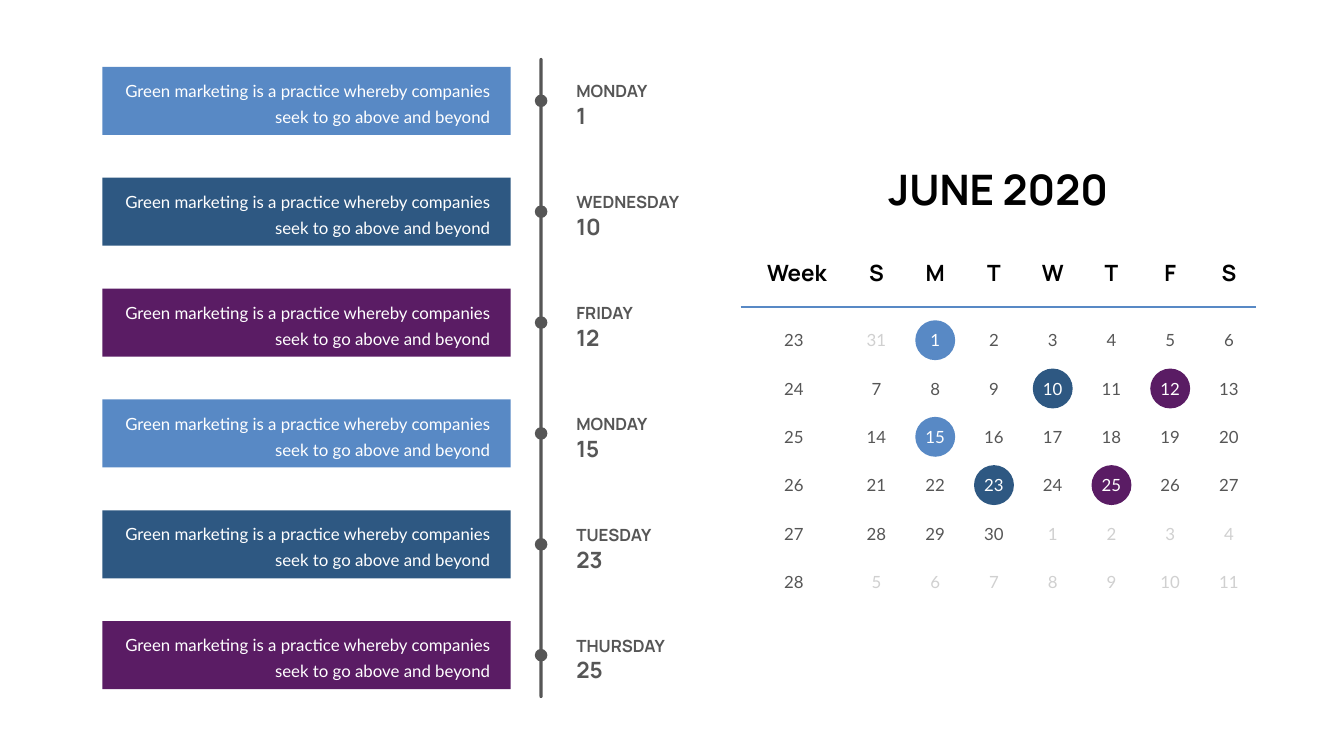
import pptx
import pptx.util
import pptx.dml.color
import pptx.enum.shapes
import pptx.enum.text
from lxml import etree

Pt = pptx.util.Pt
RGBColor = pptx.dml.color.RGBColor
Shape = pptx.enum.shapes.MSO_SHAPE
Align = pptx.enum.text.PP_ALIGN
Anchor = pptx.enum.text.MSO_ANCHOR

BLUE = RGBColor(0x58, 0x89, 0xC5)
NAVY = RGBColor(0x2E, 0x58, 0x82)
PURPLE = RGBColor(0x5A, 0x1C, 0x64)
GRAY = RGBColor(0x56, 0x56, 0x56)
PALE = RGBColor(0xD0, 0xD0, 0xD0)
BLACK = RGBColor(0, 0, 0)
WHITE = RGBColor(0xFF, 0xFF, 0xFF)

HEADING_FONT = "Manrope"
BODY_FONT = "Lato"
DESCRIPTION = "Green marketing is a practice whereby companies seek to go above and beyond"
EVENTS = [
    ("MONDAY", 1, BLUE),
    ("WEDNESDAY", 10, NAVY),
    ("FRIDAY", 12, PURPLE),
    ("MONDAY", 15, BLUE),
    ("TUESDAY", 23, NAVY),
    ("THURSDAY", 25, PURPLE),
]
WEEKDAYS = "SMTWTFS"
FIRST_WEEK = 23
WEEK_COUNT = 6
DAYS_IN_MAY = 31
DAYS_IN_JUNE = 30


def add_filled(slide, kind, left, top, width, height, color):
    shape = slide.shapes.add_shape(kind, Pt(left), Pt(top), Pt(width), Pt(height))
    shape.shadow.inherit = False
    shape.fill.solid()
    shape.fill.fore_color.rgb = color
    shape.line.fill.background()
    return shape


def format_paragraph(paragraph, size, color, font=BODY_FONT, align=Align.CENTER, spacing=None):
    paragraph.alignment = align
    if spacing:
        paragraph.line_spacing = Pt(spacing)
    for run in paragraph.runs:
        run.font.name = font
        run.font.size = Pt(size)
        run.font.bold = font == HEADING_FONT
        run.font.color.rgb = color


def add_label(slide, text, left, top, width, height, anchor=Anchor.TOP):
    text_frame = slide.shapes.add_textbox(Pt(left), Pt(top), Pt(width), Pt(height)).text_frame
    text_frame.text = text
    text_frame.vertical_anchor = anchor
    text_frame.word_wrap = False
    return text_frame


def add_event(slide, left, top, weekday, day, color):
    bar_width, bar_height, dot_size = 583.2, 97.2, 18
    bar = add_filled(slide, Shape.RECTANGLE, left, top, bar_width, bar_height, color)
    text_frame = bar.text_frame
    text_frame.text = DESCRIPTION
    text_frame.word_wrap = True
    text_frame.vertical_anchor = Anchor.MIDDLE
    text_frame.margin_left = text_frame.margin_right = Pt(29.5)
    format_paragraph(text_frame.paragraphs[0], 24, WHITE, align=Align.RIGHT, spacing=37)

    add_filled(slide, Shape.OVAL, left + 617.6, top + (bar_height - dot_size) / 2,
               dot_size, dot_size, GRAY)

    date = add_label(slide, f"{weekday}\n{day}", left + 669.9, top + 5.1, 170, 87.6, Anchor.MIDDLE)
    for paragraph, size in zip(date.paragraphs, (24, 32)):
        format_paragraph(paragraph, size, GRAY, HEADING_FONT, Align.LEFT, 40)


def add_timeline(slide, left, top, height):
    axis = add_filled(slide, Shape.ROUNDED_RECTANGLE, left + 624.3, top, 4.4, height, GRAY)
    axis.adjustments[0] = 0.5
    for index, event in enumerate(EVENTS):
        add_event(slide, left, top + 12.6 + index * 158.4, *event)


def add_calendar(slide, left, top, width):
    column_pitch, row_pitch = 83.9, 69
    week_center = left + 76.2
    sunday_center = left + 194.1
    first_row_center = top + 255.6
    circle_size = 57
    event_colors = {day: color for _, day, color in EVENTS}

    title_width = 332
    title = add_label(slide, "JUNE 2020", left + (width - title_width) / 2, top, title_width, 80)
    format_paragraph(title.paragraphs[0], 60, BLACK, HEADING_FONT)

    week_heading = add_label(slide, "Week", left + 22.2, top + 136, 108, 46)
    format_paragraph(week_heading.paragraphs[0], 32, BLACK, HEADING_FONT, Align.RIGHT)
    for column, letter in enumerate(WEEKDAYS):
        center = sunday_center + column * column_pitch
        heading = add_label(slide, letter, center - 24, top + 136, 48, 46)
        format_paragraph(heading.paragraphs[0], 32, BLACK, HEADING_FONT)

    rule = slide.shapes.add_connector(pptx.enum.shapes.MSO_CONNECTOR.STRAIGHT,
                                      Pt(left), Pt(top + 208), Pt(left + width), Pt(top + 208))
    rule.line.color.rgb = BLUE
    rule.line.width = Pt(3)
    etree.SubElement(rule._element.spPr, pptx.oxml.ns.qn("a:effectLst"))

    def add_number(number, center, middle, color):
        label = add_label(slide, str(number), center - 21, middle - 18, 42, 36, Anchor.MIDDLE)
        format_paragraph(label.paragraphs[0], 24, color)

    for row in range(WEEK_COUNT):
        middle = first_row_center + row * row_pitch
        add_number(FIRST_WEEK + row, week_center, middle, GRAY)
        for column in range(len(WEEKDAYS)):
            center = sunday_center + column * column_pitch
            day = row * len(WEEKDAYS) + column
            if day < 1:
                add_number(day + DAYS_IN_MAY, center, middle, PALE)
            elif day > DAYS_IN_JUNE:
                add_number(day - DAYS_IN_JUNE, center, middle, PALE)
            elif day in event_colors:
                add_filled(slide, Shape.OVAL, center - circle_size / 2, middle - circle_size / 2,
                           circle_size, circle_size, event_colors[day])
                add_number(day, center, middle, WHITE)
            else:
                add_number(day, center, middle, GRAY)


def main():
    presentation = pptx.Presentation()
    presentation.slide_width = Pt(1919.52)
    presentation.slide_height = Pt(1080)
    slide = presentation.slides.add_slide(presentation.slide_layouts[6])
    add_calendar(slide, 1057.7, 230.4, 735.8)
    add_timeline(slide, 146.2, 82.8, 914.4)
    presentation.save("out.pptx")


if __name__ == "__main__":
    main()
